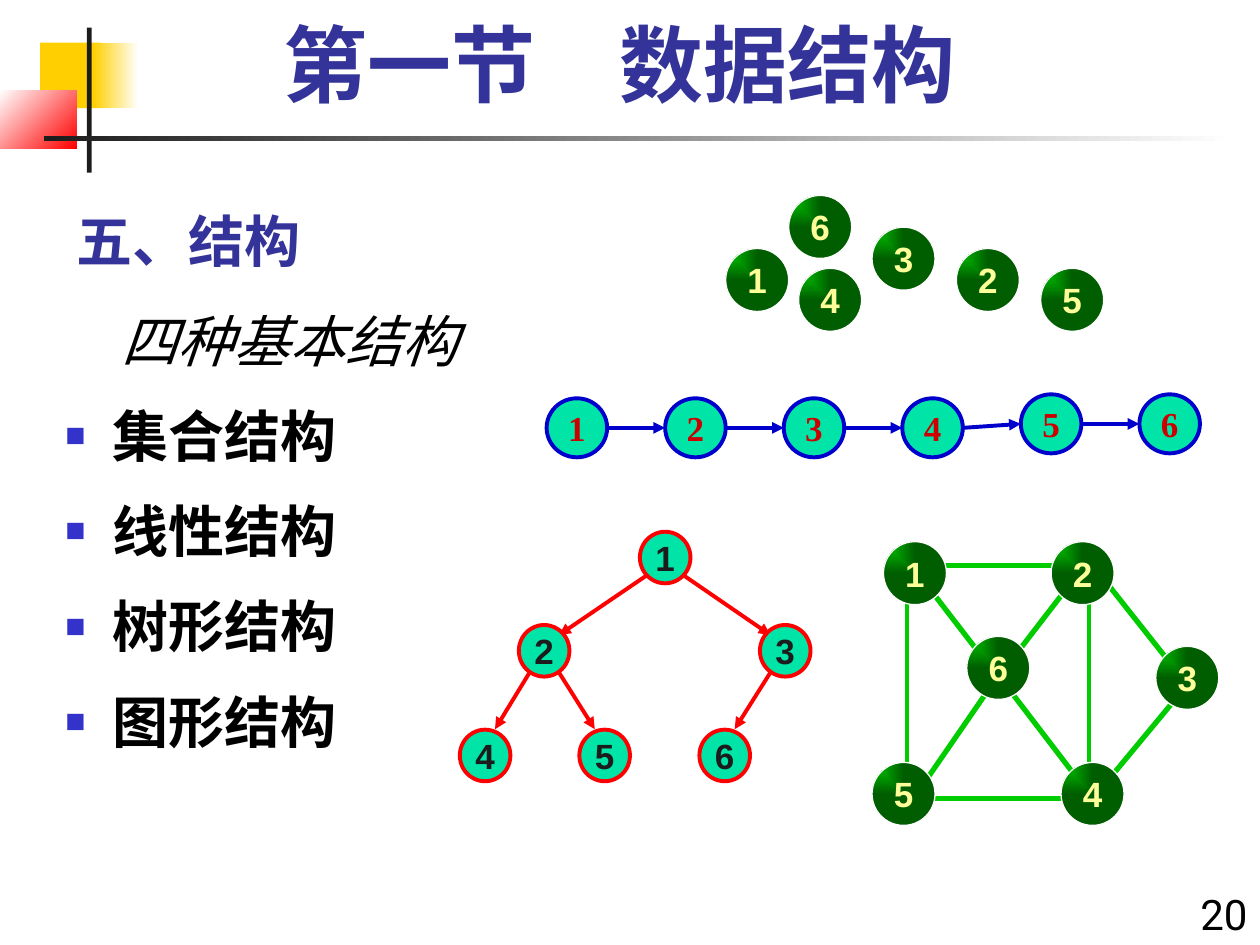
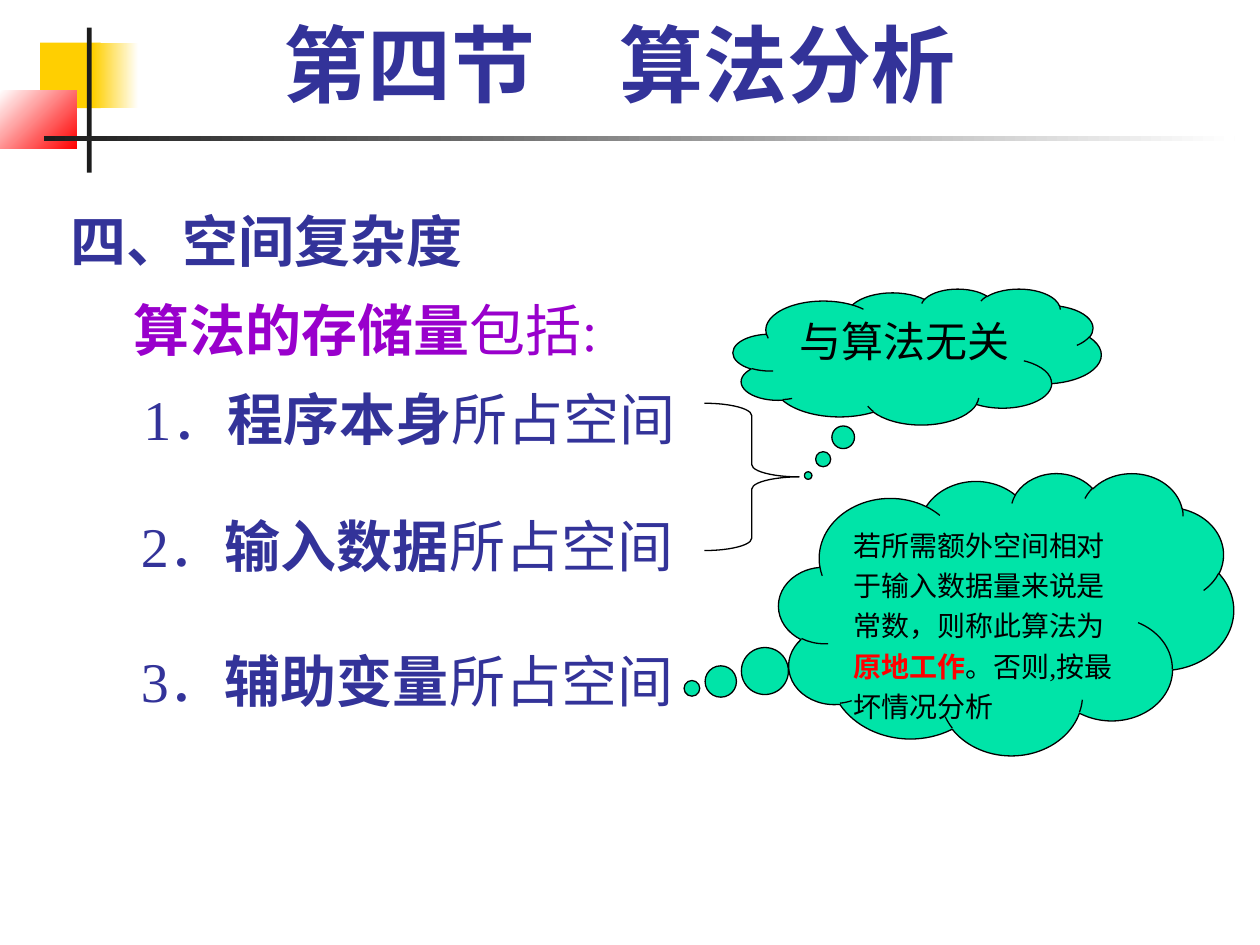
from lxml.etree import SubElement
from pptx import Presentation
from pptx.dml.color import RGBColor
from pptx.enum.shapes import MSO_CONNECTOR, MSO_SHAPE as Preset
from pptx.enum.text import MSO_ANCHOR as Anchor, MSO_AUTO_SIZE as AutoSize, PP_ALIGN as Align
from pptx.oxml.ns import qn
from pptx.util import Cm, Pt

COLORS = {
    "yellow": "FFCF01", "white": "FFFFFF", "red": "FF0000", "ink": "1C1C1C",
    "heading": "333399", "black": "000000", "bullet": "3333CC", "purple": "9900CC",
    "mint": "00E4A8", "blue": "0000CC", "crimson": "CC0000", "cream": "FFFF99",
    "green": "00CC00", "dark green": "005E00",
}
SANS, SERIF, LABEL, CJK = "Roboto", "Times New Roman", "Arial", "Noto Sans CJK SC"
SPHERE_SIZE = 1.27
TREE_NODE = (1.02, 1.04)
CHAIN_NODE = (1.22, 1.19)


def rgb(name):
    return RGBColor.from_string(COLORS[name])


def write_text(shape, *paragraphs, size=32, font=CJK, color="black", bold=False, italic=False,
               align=Align.LEFT, anchor=Anchor.TOP, line_spacing=None, space_before=0, inset=None):
    """Each paragraph is a string or a list of (text, changed formats) runs."""
    frame = shape.text_frame
    frame.word_wrap = True
    frame.auto_size = AutoSize.NONE
    frame.vertical_anchor = anchor
    if inset is not None:
        frame.margin_left = frame.margin_right = Cm(inset)
        frame.margin_top = frame.margin_bottom = Cm(inset)
    for index, runs in enumerate(paragraphs):
        paragraph = frame.add_paragraph() if index else frame.paragraphs[0]
        paragraph.alignment = align
        paragraph.space_before = Pt(space_before if index else 0)
        if line_spacing:
            paragraph.line_spacing = line_spacing
        for text, changes in [(runs, {})] if isinstance(runs, str) else runs:
            look = {"color": color, "bold": bold, "italic": italic, **changes}
            run = paragraph.add_run()
            run.text = text
            run.font.size = Pt(size)
            run.font.name = font
            run.font.bold, run.font.italic = look["bold"], look["italic"]
            run.font.color.rgb = rgb(look["color"])
            SubElement(run.font._element, qn("a:ea"), typeface=CJK)


def add_text(slide, box, *paragraphs, **formats):
    shape = slide.shapes.add_textbox(*map(Cm, box))
    write_text(shape, *paragraphs, **formats)
    return shape


def add_shape(slide, preset, box, fill=None, line=None, width=0.75):
    """Fill is a color name, or (first color, last color, angle) for a gradient."""
    shape = slide.shapes.add_shape(preset, *map(Cm, box))
    shape.shadow.inherit = False
    if fill is None:
        shape.fill.background()
    elif isinstance(fill, str):
        shape.fill.solid()
        shape.fill.fore_color.rgb = rgb(fill)
    else:
        *ends, angle = fill
        shape.fill.gradient()
        for stop, position, name in zip(shape.fill.gradient_stops, (0, 1), ends):
            stop.color.rgb = rgb(name)
            stop.position = position
        if angle is None:
            grow_from_corner(shape)
        else:
            shape.fill.gradient_angle = angle
    if line:
        shape.line.color.rgb = rgb(line)
        shape.line.width = Pt(width)
    else:
        shape.line.fill.background()
    return shape


def grow_from_corner(shape):
    """Turn a linear gradient into one that spreads from the top left corner."""
    gradient = shape._element.spPr.find(qn("a:gradFill"))
    gradient.remove(gradient.find(qn("a:lin")))
    spread = SubElement(gradient, qn("a:path"))
    spread.set("path", "rect")
    SubElement(spread, qn("a:fillToRect"), r="100000", b="100000")


def add_line(slide, start, end, color, width, arrow=False):
    line = slide.shapes.add_connector(MSO_CONNECTOR.STRAIGHT, *map(Cm, (*start, *end)))
    line.line.color.rgb = rgb(color)
    line.line.width = Pt(width)
    if arrow:
        SubElement(line.line._get_or_add_ln(), qn("a:tailEnd"), type="triangle")
    SubElement(line._element.spPr, qn("a:effectLst"))
    return line


def join_ovals(connector, before, after):
    """Join right side to left side; an oval numbers these sites 6 and 2."""
    connector.begin_connect(before, 3)
    connector.end_connect(after, 1)
    for tag, site in (("a:stCxn", "6"), ("a:endCxn", "2")):
        next(connector._element.iter(qn(tag))).set("idx", site)


def add_node(slide, label, box, fill="mint", line="red", width=2.25, color="ink", font=LABEL):
    node = add_shape(slide, Preset.OVAL, box, fill, line, width)
    write_text(node, str(label), size=20, font=font, color=color, bold=True,
               align=Align.CENTER, anchor=Anchor.MIDDLE, inset=0)
    return node


def add_spheres(slide, left, top, places):
    for label, (x, y) in places.items():
        add_node(slide, label, (left + x, top + y, SPHERE_SIZE, SPHERE_SIZE),
                 ("green", "dark green", None), "white", 0.75, "cream")


def add_bullet(paragraph):
    properties = paragraph._p.get_or_add_pPr()
    bullet_color = SubElement(properties, qn("a:buClr"))
    SubElement(bullet_color, qn("a:srgbClr"), val=COLORS["bullet"])
    SubElement(properties, qn("a:buSzPct"), val="60000")
    SubElement(properties, qn("a:buFont"), typeface=LABEL)
    SubElement(properties, qn("a:buChar"), char="■")


def add_base_slide(presentation, title, section, section_left):
    """Slide with the corner ornament, chapter title and section heading."""
    slide = presentation.slides.add_slide(presentation.slide_layouts[5])
    for box, fill in (
        ((0.81, 0.86, 1.22, 1.32), "yellow"),
        ((1.88, 0.86, 0.91, 1.32), ("yellow", "white", 0)),
        ((0, 1.83, 1.55, 1.17), ("white", "red", 315)),
        ((1.75, 0.56, 0.1, 2.92), "ink"),
        ((0.89, 2.74, 24, 0.1), ("ink", "white", 0)),
    ):
        add_shape(slide, Preset.RECTANGLE, box, fill)
    heading = slide.shapes.title
    heading.left, heading.top, heading.width, heading.height = map(Cm, (1.7, -0.08, 21.59, 2.49))
    write_text(heading, title, size=48, font=SANS, color="heading", bold=True,
               align=Align.CENTER, anchor=Anchor.BOTTOM)
    add_text(slide, (section_left, 3.73, 17.15, 1.91), section,
             color="heading", bold=True, anchor=Anchor.BOTTOM)
    return slide


def add_structure_list(slide, box):
    body = add_text(slide, box,
                    [("　", {}), ("四种基本结构", {"bold": False, "italic": True})],
                    "集合结构", "线性结构", "树形结构", "图形结构", bold=True, space_before=16)
    for index, paragraph in enumerate(body.text_frame.paragraphs):
        properties = paragraph._p.get_or_add_pPr()
        properties.set("marL", str(Cm(0.95)))
        properties.set("indent", str(-Cm(0.95)))
        if index:
            add_bullet(paragraph)


def add_set(slide, left, top):
    add_spheres(slide, left, top, {1: (0, 1.07), 2: (4.65, 1.07), 5: (6.35, 1.47),
                                   4: (1.47, 1.47), 3: (2.95, 0.64), 6: (1.27, 0)})


def add_chain(slide, left, top, pitch=2.39):
    nodes = []
    for index in range(6):
        drop = 0.08 if index < 4 else 0
        box = (left + index * pitch, top + drop, *CHAIN_NODE)
        nodes.append(add_node(slide, index + 1, box, line="blue", color="crimson", font=SERIF))
    for before, after in zip(nodes, nodes[1:]):
        arrow = add_line(slide, (left, top), (left, top), "blue", 2.25, arrow=True)
        join_ovals(arrow, before, after)


def add_tree(slide, left, top):
    width, height = TREE_NODE
    places = {1: (3.63, 0), 2: (1.19, 1.88), 3: (6.05, 1.88),
              4: (0, 3.99), 5: (2.41, 3.99), 6: (4.83, 3.99)}
    centers = {label: (left + x + width / 2, top + y + height / 2)
               for label, (x, y) in places.items()}
    upper, lower = ((0.33, 0.33), (0.3, 0.32)), ((0.1, 0.12), (0.2, 0.53))
    for parent, child, (leave, arrive) in ((1, 2, upper), (1, 3, upper),
                                           (2, 4, lower), (2, 5, lower), (3, 6, lower)):
        (x1, y1), (x2, y2) = centers[parent], centers[child]
        side = 1 if x2 > x1 else -1
        add_line(slide, (x1 + side * leave[0], y1 + leave[1]),
                 (x2 - side * arrive[0], y2 - arrive[1]), "red", 2.25, arrow=True)
    for label, (x, y) in places.items():
        add_node(slide, label, (left + x, top + y, width, height))


def add_graph(slide, left, top):
    for x1, y1, x2, y2 in (
        (4.04, 0.79, 2.87, 2.31), (6.2, 3.07, 4.7, 4.88), (2.39, 2.92, 1.04, 4.88),
        (2.72, 2.92, 4.22, 4.88), (0.71, 0.94, 0.71, 4.72), (1.22, 5.18, 3.89, 5.18),
        (1.22, 0.48, 3.89, 0.48), (4.7, 0.79, 6.02, 2.46), (1.04, 0.79, 2.21, 2.31),
        (4.37, 0.94, 4.37, 4.72),
    ):
        add_line(slide, (left + x1, top + y1), (left + x2, top + y2),
                 "green", 2.25 if x1 == x2 else 3)
    add_spheres(slide, left, top, {1: (0.23, 0), 2: (3.61, 0), 3: (5.72, 2.11),
                                   4: (3.81, 4.45), 5: (0, 4.45), 6: (1.91, 1.91)})


def add_storage_list(slide, left, top):
    add_text(slide, (left, top, 9.98, 1.63),
             [("算法的存储量", {"bold": True}), ("包括:", {})], font=SERIF, color="purple")
    for number, (part, shift, drop) in enumerate(
            (("程序本身", 0.2, 1.78), ("输入数据", 0.15, 4.34), ("辅助变量", 0.15, 7.06)), 1):
        add_text(slide, (left + shift, top + drop, 11.35, 1.63),
                 [(f"{number}．", {}), (part, {"bold": True}), ("所占空间", {})],
                 font=SERIF, color="heading")


def add_cloud(slide, box, pointer, *paragraphs, **formats):
    cloud = add_shape(slide, Preset.CLOUD_CALLOUT, box, "mint", "black")
    cloud.adjustments[0], cloud.adjustments[1] = pointer
    write_text(cloud, *paragraphs, **formats)


def add_remarks(slide, left, top):
    add_cloud(slide, (left + 0.58, top, 7.42, 2.74), (-0.296, 0.875), "与算法无关",
              size=24, font=SANS, align=Align.CENTER)
    brace = add_shape(slide, Preset.RIGHT_BRACE, (left, top + 2.31, 1.91, 2.97), line="black")
    brace.adjustments[0], brace.adjustments[1] = 0.13, 0.5
    add_cloud(slide, (left + 1.5, top + 3.71, 9.17, 5.69), (-0.691, 0.264),
              [("若所需额外空间相对于输入数据量来说是常数，则称此算法为", {}),
               ("原地工作", {"color": "red", "bold": True}),
               ("。否则,按最坏情况分析", {})],
              size=16, font=SERIF, line_spacing=1.2)


def build_structure_slide(presentation):
    slide = add_base_slide(presentation, "第一节　数据结构", "五、结构", 1.3)
    add_text(slide, (23.7, 17.78, 1.7, 1.27), "20", size=24, font=SANS, align=Align.RIGHT)
    add_structure_list(slide, (1.07, 6.05, 24.33, 10.8))
    add_tree(slide, 9.27, 10.72)
    add_set(slide, 14.63, 3.94)
    add_chain(slide, 11.02, 7.95)
    add_graph(slide, 17.58, 10.92)


def build_space_slide(presentation):
    slide = add_base_slide(presentation, "第四节　算法分析", "四、空间复杂度", 1.17)
    add_storage_list(slide, 2.44, 5.84)
    add_remarks(slide, 14.2, 5.82)


def main():
    presentation = Presentation()
    presentation.slide_width, presentation.slide_height = Cm(25.4), Cm(19.05)
    build_structure_slide(presentation)
    build_space_slide(presentation)
    presentation.save("out.pptx")


if __name__ == "__main__":
    main()
